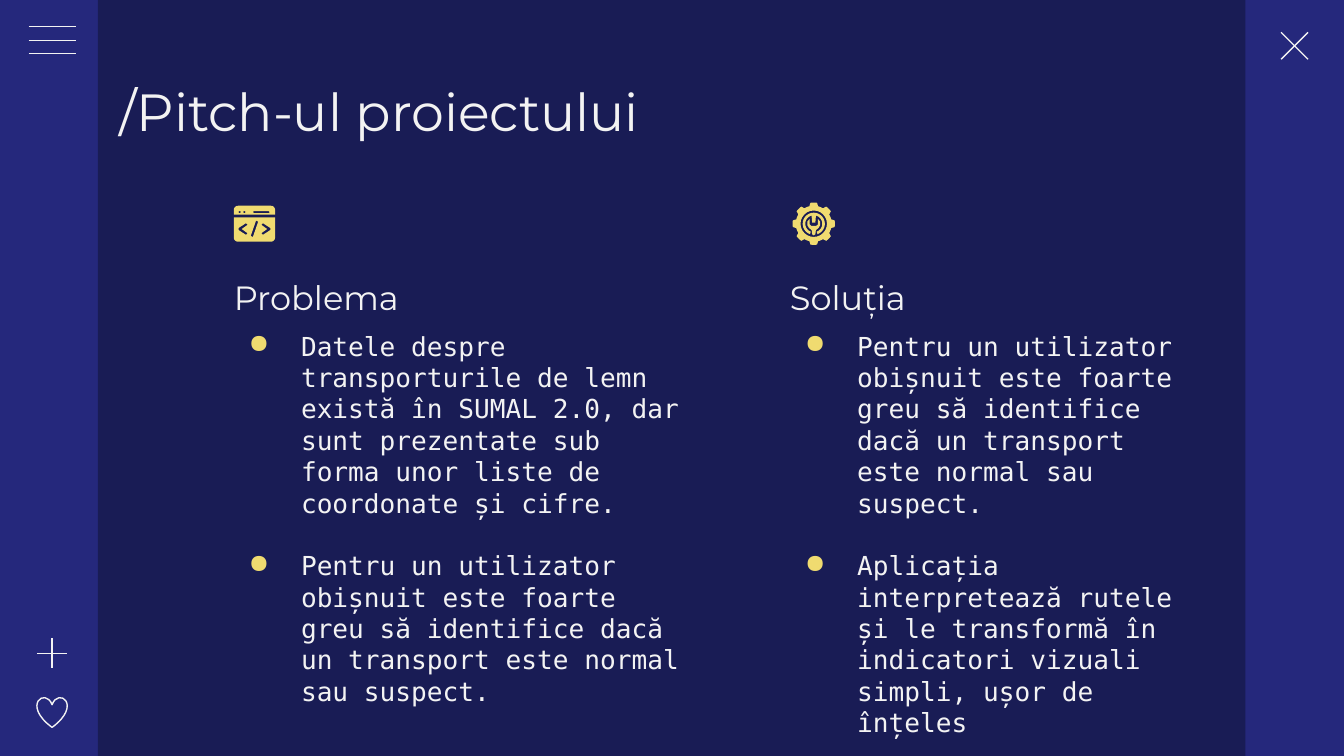
from math import cos, radians, sin

from lxml import etree
from pptx import Presentation
from pptx import util as u
from pptx.dml.color import RGBColor
from pptx.enum import shapes, text
from pptx.oxml import ns

Cm = u.Cm
HUES = {"side": "25287C", "main": "191C55", "pale": "F3F3F3", "gold": "F0DB70"}
HUES = {name: RGBColor.from_string(code) for name, code in HUES.items()}

deck = Presentation()
deck.slide_width, deck.slide_height = Cm(25.4), Cm(14.29)
slide = deck.slides.add_slide(deck.slide_layouts[6])
slide.background.fill.solid()
slide.background.fill.fore_color.rgb = HUES["side"]
items = slide.shapes


def carve(*loops):
    """Draw a gold outline; every loop after the first is a hole."""
    pen = items.build_freeform(Cm(loops[0][0][0]), Cm(loops[0][0][1]))
    for num, loop in enumerate(loops):
        spots = [(Cm(x), Cm(y)) for x, y in loop]
        if num:
            pen.move_to(*spots[0])
        pen.add_line_segments(spots[1:], close=True)
    form = pen.convert_to_shape()
    form.shadow.inherit = False
    form.fill.solid()
    form.fill.fore_color.rgb = HUES["gold"]
    form.line.fill.background()


def arc(x, y, size, start=0, end=360, steps=24):
    turns = [radians(start + (end - start) * i / steps) for i in range(steps + 1)]
    return [(x + size * cos(t), y + size * sin(t)) for t in turns]


# Centre panel
panel = items.add_shape(shapes.MSO_SHAPE.RECTANGLE, Cm(1.85), 0, Cm(21.69), Cm(14.29))
panel.shadow.inherit = False
panel.fill.solid()
panel.fill.fore_color.rgb = HUES["main"]
panel.line.fill.background()

# Menu, cross and plus on the side bars
menu = [(0.54, y, 1.44, y) for y in (0.5, 0.76, 1.01)]
cross = [(24.21, 0.61, 24.72, 1.12), (24.72, 0.61, 24.21, 1.12)]
plus = [(0.7, 12.35, 1.27, 12.35), (0.98, 12.06, 0.98, 12.63)]
for ends in menu + cross + plus:
    stroke = items.add_connector(shapes.MSO_CONNECTOR.STRAIGHT, *map(Cm, ends))
    stroke.line.color.rgb = HUES["pale"]
    stroke.line.width = u.Pt(0.75)
    etree.SubElement(stroke._element.spPr, ns.qn("a:effectLst"))

heart = items.add_shape(shapes.MSO_SHAPE.HEART, Cm(0.7), Cm(13.18), Cm(0.57), Cm(0.57))
heart.shadow.inherit = False
heart.fill.background()
heart.line.color.rgb = HUES["pale"]
heart.line.width = u.Pt(0.75)


def write(box, lines, font, size, bullet=False):
    frame = items.add_textbox(*map(Cm, box)).text_frame
    frame.word_wrap = True
    frame.margin_left = frame.margin_right = Cm(0.25)
    frame.margin_top = frame.margin_bottom = Cm(0.25)
    for num, line in enumerate(lines):
        para = frame.add_paragraph() if num else frame.paragraphs[0]
        para.text = line
        if bullet:
            props = para._p.get_or_add_pPr()
            props.set("marL", str(Cm(1.27)))
            props.set("indent", str(-Cm(0.99)))
            tint = etree.SubElement(props, ns.qn("a:buClr"))
            etree.SubElement(tint, ns.qn("a:srgbClr"), val=str(HUES["gold"]))
            etree.SubElement(props, ns.qn("a:buChar"), char="●")
        if num:
            para.space_before = u.Pt(16.8)
        para.font.name = font
        para.font.size = u.Pt(size)
        para.font.color.rgb = HUES["pale"]
    return frame


write((2.01, 1.24, 21.41, 1.6), ["/Pitch-ul proiectului"], "Montserrat", 28)

hard = ("Pentru un utilizator obișnuit este foarte greu să identifice "
        "dacă un transport este normal sau suspect.")
data = ("Datele despre transporturile de lemn există în SUMAL 2.0, dar sunt "
        "prezentate sub forma unor liste de coordonate și cifre.")
app = ("Aplicația interpretează rutele și le transformă în indicatori "
       "vizuali simpli, ușor de înțeles")
for left, wide, high, head, lines in [
    (4.17, 8.99, 3.86, "Problema", [data, hard]),
    (14.68, 8.08, 3.05, "Soluția", [hard, app]),
]:
    write((left, 5.99, wide, high), lines, "DejaVu Sans Mono", 14, bullet=True)
    frame = write((left, 5.11, 6.55, 1.14), [head], "Montserrat", 18)
    frame.vertical_anchor = text.MSO_ANCHOR.BOTTOM
    frame.paragraphs[0].line_spacing = 1.15

# Code window icon: title bar, then body
carve(
    [(4.42, 4.06), *arc(4.5, 3.97, 0.08, 180, 270, 6),
     *arc(5.12, 3.97, 0.08, 270, 360, 6), (5.2, 4.06)],
    arc(4.53, 4.01, 0.02),
    arc(4.62, 4.01, 0.02),
    [(4.8, 3.99), (5.08, 3.99), (5.1, 4.01), (5.08, 4.03), (4.8, 4.03), (4.78, 4.01)],
)
less = [(-0.16, -0.11), (-0.13, -0.08), (-0.24, 0), (-0.13, 0.08),
        (-0.16, 0.11), (-0.3, 0.02), (-0.3, -0.02)]
carve(
    [(4.42, 4.11), (5.2, 4.11), *arc(5.12, 4.49, 0.08, 0, 90, 6),
     *arc(4.5, 4.49, 0.08, 90, 180, 6)],
    *[[(4.81 + side * x, 4.33 + y) for x, y in less] for side in (1, -1)],
    [(4.84, 4.17), (4.88, 4.19), (4.78, 4.48), (4.74, 4.46)],
)

# Gear icon: wrench, ring, toothed wheel
x, y = 15.38, 4.23
half = [(0, 0.04), (0.05, 0.04), (0.08, 0.01), (0.08, -0.09), (0.12, -0.04),
        (0.12, 0.03), (0.09, 0.08), (0.04, 0.12), (0.03, 0.2), (0, 0.22)]
carve([(x + a, y + b) for a, b in half] + [(x - a, y + b) for a, b in half[::-1]])
carve(arc(x, y, 0.21, 110, 430) + arc(x, y, 0.16, 70, -75)
      + [(x + 0.03, y - 0.02), (x - 0.03, y - 0.02)] + arc(x, y, 0.16, 255, 110))
wheel = []
for turn in range(0, 360, 45):
    wheel += arc(x, y, 0.34, turn - 30, turn - 14, 4)
    wheel += arc(x, y, 0.4, turn - 9, turn + 9, 4)
    wheel += arc(x, y, 0.34, turn + 14, turn + 15, 1)
carve(wheel, arc(x, y, 0.25))

deck.save("out.pptx")
